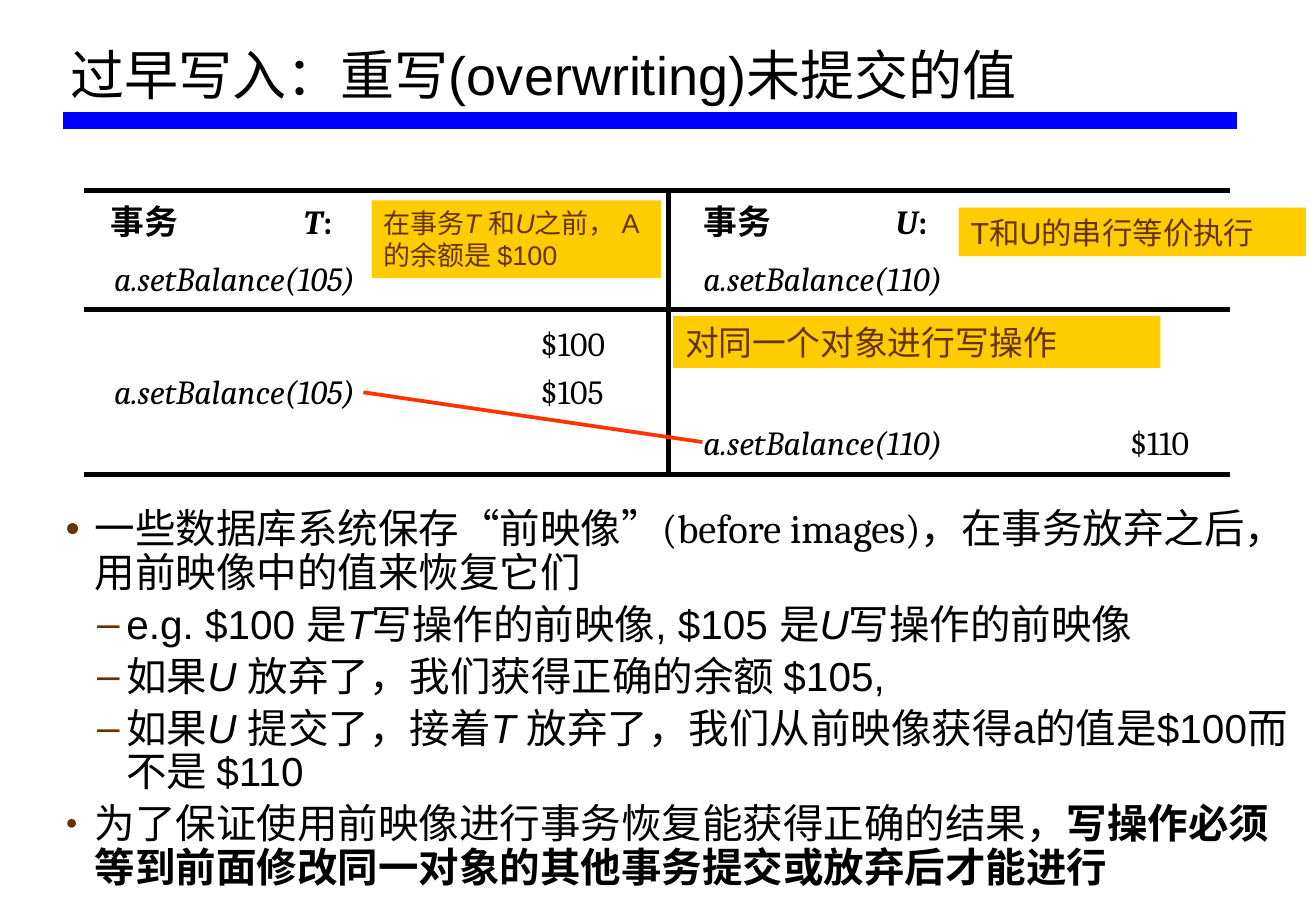
from lxml import etree
from pptx import Presentation
from pptx.dml.color import RGBColor
from pptx.enum import shapes, text
from pptx.oxml import ns
from pptx import util as u

BLACK = RGBColor(0x00, 0x00, 0x00)
BLUE = RGBColor(0x00, 0x00, 0xFF)
RED = RGBColor(0xFF, 0x33, 0x00)
YELLOW = RGBColor(0xFF, 0xCC, 0x00)
BROWN = RGBColor(0x66, 0x33, 0x00)
CJK_FONT = "Noto Sans CJK SC"

presentation = Presentation()
presentation.slide_width = u.Inches(10.83)
presentation.slide_height = u.Inches(7.5)
slide = presentation.slides.add_slide(presentation.slide_layouts[1])

# The grid has 100 columns and 100 rows
COLUMN = presentation.slide_width / 100
ROW = presentation.slide_height / 100


def place(shape, left, top, width, height):
    """Set a shape's box in grid columns and rows."""
    shape.left, shape.width = round(left * COLUMN), round(width * COLUMN)
    shape.top, shape.height = round(top * ROW), round(height * ROW)


def add_runs(paragraph, runs, size, font, color=BLACK):
    """Add (words, style[, font]) runs; the style letters are b and i."""
    for words, style, *own_font in runs:
        run = paragraph.add_run()
        run.text = words
        run.font.name = own_font[0] if own_font else font
        run.font.size = u.Pt(size)
        run.font.color.rgb = color
        run.font.bold = "b" in style
        run.font.italic = "i" in style
        latin = run.font._element.find(ns.qn("a:latin"))
        east_asian = etree.Element(ns.qn("a:ea"), typeface=CJK_FONT)
        latin.addnext(east_asian)


# Title
title = slide.shapes.title
place(title, 4.43, 1.73, 89.75, 10.67)
title.text_frame.auto_size = text.MSO_AUTO_SIZE.NONE
title.text_frame.vertical_anchor = text.MSO_ANCHOR.BOTTOM
heading = title.text_frame.paragraphs[0]
heading.alignment = text.PP_ALIGN.LEFT
heading.line_spacing = 0.9
add_runs(heading, [("过早写入：重写(overwriting)未提交的值", "")], 32, "Arial")

# Bulleted list: level, bullet, bullet size in percent, runs
bullets = [
    (0, "•", 100, [
        ("一些数据库系统保存", ""), ("“", "", CJK_FONT), ("前映像", ""), ("”", "", CJK_FONT),
        ("(before images)，在事务放弃之后，用前映像中的值来恢复它们", "")]),
    (1, "–", 100, [
        ("e.g. $100 是", ""), ("T", "i"), ("写操作的前映像, $105 是", ""),
        ("U", "i"), ("写操作的前映像", "")]),
    (1, "–", 100, [
        ("如果", ""), ("U ", "i"), ("放弃了，我们获得正确的余额 $105,", "")]),
    (1, "–", 100, [
        ("如果", ""), ("U ", "i"), ("提交了，接着", ""), ("T ", "i"),
        ("放弃了，我们从前映像获得a的值是$100而不是 $110", "")]),
    (0, "●", 50, [
        ("为了保证使用前映像进行事务恢复能获得正确的结果，", ""),
        ("写操作必须等到前面修改同一对象的其他事务提交或放弃后才能进行", "b")]),
]
LEVELS = [("Cambria", 0.24, -0.24), ("Arial", 0.5, -0.24)]
body = slide.placeholders[1]
place(body, 4.06, 55.2, 95.29, 44.4)
body.text_frame.auto_size = text.MSO_AUTO_SIZE.NONE
for index, (level, bullet, percent, runs) in enumerate(bullets):
    frame = body.text_frame
    paragraph = frame.add_paragraph() if index else frame.paragraphs[0]
    font, margin, indent = LEVELS[level]
    paragraph.level = level
    paragraph.line_spacing = 0.9
    paragraph.space_before = u.Pt(4.8)
    properties = paragraph._p.get_or_add_pPr()
    properties.set("marL", str(u.Inches(margin)))
    properties.set("indent", str(u.Inches(indent)))
    bullet_color = etree.SubElement(properties, ns.qn("a:buClr"))
    etree.SubElement(bullet_color, ns.qn("a:srgbClr"), val=str(BROWN))
    etree.SubElement(properties, ns.qn("a:buSzPct"), val=str(percent * 1000))
    etree.SubElement(properties, ns.qn("a:buFont"), typeface="Arial")
    etree.SubElement(properties, ns.qn("a:buChar"), char=bullet)
    add_runs(paragraph, runs, 24, font)

# Schedule entries of transactions T and U
T_LEFT, U_LEFT, T_BALANCE = 8.68, 53.46, 41.09
HEADER, CALL, START, T_WRITE, U_WRITE = 22, 28.27, 35.47, 40.67, 46.27
T_CALL = [("a.setBalance(105)", "i")]
U_CALL = [("a.setBalance(110)", "i")]
entries = [
    (8.4, HEADER, [("事务", "b")]),
    (23.08, HEADER, [("T", "bi"), (":", "b")]),
    (U_LEFT, HEADER, [("事务", "b")]),
    (68.05, HEADER, [("U", "bi"), (":", "b")]),
    (T_LEFT, CALL, T_CALL),
    (U_LEFT, CALL, U_CALL),
    (T_BALANCE, START, [("$100", "")]),
    (T_LEFT, T_WRITE, T_CALL),
    (T_BALANCE, T_WRITE, [("$105", "")]),
    (U_LEFT, U_WRITE, U_CALL),
    (85.87, U_WRITE, [("$110", "")]),
]
for left, top, runs in entries:
    entry = slide.shapes.add_textbox(0, 0, 0, 0)
    is_call = runs in (T_CALL, U_CALL)
    place(entry, left, top, 20 if is_call else 8, 4.4)
    frame = entry.text_frame
    frame.word_wrap = True
    frame.margin_left = frame.margin_right = frame.margin_top = frame.margin_bottom = 0
    add_runs(frame.paragraphs[0], runs, 20, "Cambria")

# Notes on the schedule
notes = [
    (51.15, 34.67, 37.03, 5.73, 20, [("对同一个对象进行写操作", "")]),
    (72.85, 22.8, 26.41, 5.33, 18, [("T和U的串行等价执行", "")]),
    (28.25, 22, 21.98, 8.53, 16, [
        ("在事务", ""), ("T ", "i"), ("和", ""), ("U", "i"), ("之前， A的余额是 $100", "")]),
]
for left, top, width, height, size, runs in notes:
    note = slide.shapes.add_shape(shapes.MSO_SHAPE.RECTANGLE, 0, 0, 0, 0)
    place(note, left, top, width, height)
    note.shadow.inherit = False
    note.fill.solid()
    note.fill.fore_color.rgb = YELLOW
    note.line.fill.background()
    note.text_frame.word_wrap = True
    note.text_frame.vertical_anchor = text.MSO_ANCHOR.TOP
    paragraph = note.text_frame.paragraphs[0]
    paragraph.alignment = text.PP_ALIGN.LEFT
    add_runs(paragraph, runs, size, "Arial", BROWN)

# Title rule, schedule rules, column divider and the write conflict
TOP_RULE, BOTTOM_RULE, DIVIDER = 20.93, 52.13, 50.78
lines = [(6.37, y, 93.44, y, BLACK, 3) for y in (TOP_RULE, 34, BOTTOM_RULE)]
lines += [
    (4.8, 13.2, 94, 13.2, BLUE, 10),
    (DIVIDER, TOP_RULE, DIVIDER, BOTTOM_RULE, BLACK, 3),
    (27.61, 43.07, 53.37, 48.53, RED, 2.25),
]
for x1, y1, x2, y2, color, weight in lines:
    line = slide.shapes.add_connector(
        shapes.MSO_CONNECTOR.STRAIGHT,
        round(x1 * COLUMN), round(y1 * ROW), round(x2 * COLUMN), round(y2 * ROW))
    line.line.color.rgb = color
    line.line.width = u.Pt(weight)
    etree.SubElement(line._element.spPr, ns.qn("a:effectLst"))

presentation.save("out.pptx")
